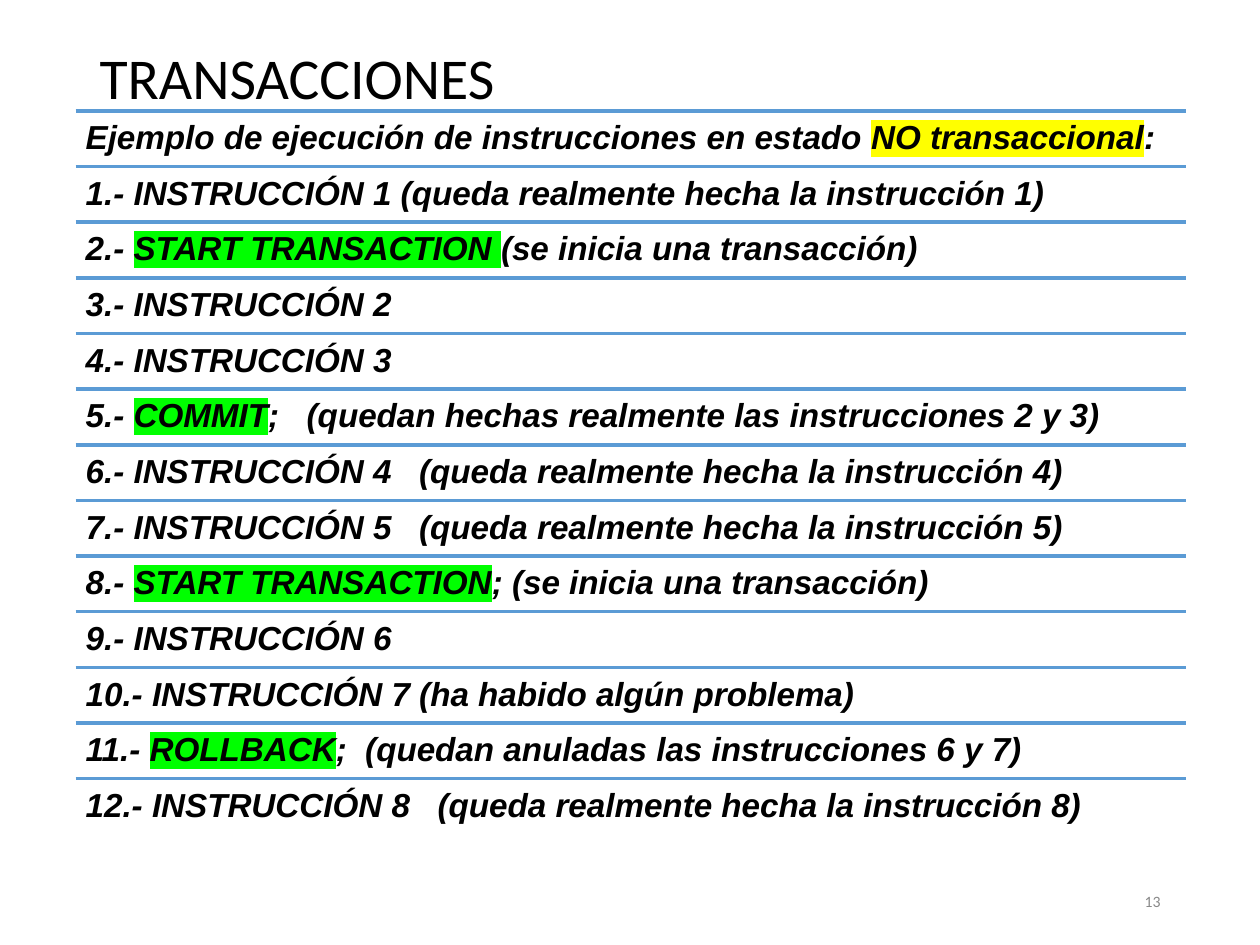
from dataclasses import dataclass

from lxml import etree
from pptx import Presentation
from pptx import util as u
from pptx.dml.color import RGBColor
from pptx.enum import shapes, text
from pptx.oxml.ns import qn


@dataclass(frozen=True)
class Theme:
    ink: str = "000000"
    muted: str = "898989"
    rule: str = "5B9BD5"
    alert: str = "FFFF00"
    command: str = "00FF00"
    heading_font: str = "Calibri"
    step_font: str = "Arial"
    title_size: float = 33
    step_size: float = 19
    number_size: float = 9
    rule_width: float = 2


THEME = Theme()
WIDTH, HEIGHT = 10, 7.5
LIST_LEFT, LIST_TOP, LIST_WIDTH = 0.6, 0.88, 8.81
ROW_HEIGHT = 5.3 / 12
STEP_INSETS = (0.08,) * 4
BOX_INSETS = (0.1, 0.05, 0.1, 0.05)

STEPS = [
    [("Ejemplo de ejecución de instrucciones en estado ", None),
     ("NO transaccional", THEME.alert), (":", None)],
    [("1.- INSTRUCCIÓN 1 (queda realmente hecha la instrucción 1)", None)],
    [("2.- ", None), ("START TRANSACTION ", THEME.command),
     ("(se inicia una transacción)", None)],
    [("3.- INSTRUCCIÓN 2", None)],
    [("4.- INSTRUCCIÓN 3", None)],
    [("5.- ", None), ("COMMIT", THEME.command),
     (";   (quedan hechas realmente las instrucciones 2 y 3)", None)],
    [("6.- INSTRUCCIÓN 4   (queda realmente hecha la instrucción 4)", None)],
    [("7.- INSTRUCCIÓN 5   (queda realmente hecha la instrucción 5)", None)],
    [("8.- ", None), ("START TRANSACTION", THEME.command),
     ("; (se inicia una transacción)", None)],
    [("9.- INSTRUCCIÓN 6", None)],
    [("10.- INSTRUCCIÓN 7 (ha habido algún problema)", None)],
    [("11.- ", None), ("ROLLBACK", THEME.command),
     (";  (quedan anuladas las instrucciones 6 y 7)", None)],
    [("12.- INSTRUCCIÓN 8   (queda realmente hecha la instrucción 8)", None)],
]


def inches(*values):
    return [u.Inches(v) for v in values]


def format_frame(tf, insets, anchor):
    tf.word_wrap = True
    tf.auto_size = text.MSO_AUTO_SIZE.NONE
    tf.vertical_anchor = anchor
    tf.margin_left, tf.margin_top, tf.margin_right, tf.margin_bottom = inches(*insets)


def add_run(p, words, font, size, color, strong=False, highlight=None):
    r = p.add_run()
    r.text = words
    r.font.name = font
    r.font.size = u.Pt(size)
    r.font.bold = r.font.italic = strong
    r.font.color.rgb = RGBColor.from_string(color)
    if highlight:
        mark = etree.Element(qn("a:highlight"))
        etree.SubElement(mark, qn("a:srgbClr"), val=highlight)
        r.font._element.find(qn("a:solidFill")).addnext(mark)


def set_title(s, words):
    sp = s.shapes.title
    sp.left, sp.top, sp.width, sp.height = inches(0.69, 0.4, 8.62, 0.48)
    format_frame(sp.text_frame, BOX_INSETS, text.MSO_ANCHOR.MIDDLE)
    p = sp.text_frame.paragraphs[0]
    p.alignment = text.PP_ALIGN.LEFT
    p.line_spacing = 0.9
    add_run(p, words, THEME.heading_font, THEME.title_size, THEME.ink)


def add_rule(group, top):
    line = group.shapes.add_connector(
        shapes.MSO_CONNECTOR.STRAIGHT,
        *inches(LIST_LEFT, top, LIST_LEFT + LIST_WIDTH, top))
    line.line.color.rgb = RGBColor.from_string(THEME.rule)
    line.line.width = u.Pt(THEME.rule_width)
    etree.SubElement(line._element.spPr, qn("a:effectLst"))


def add_step(group, row, runs):
    top = LIST_TOP + row * ROW_HEIGHT
    add_rule(group, top)
    sp = group.shapes.add_textbox(*inches(LIST_LEFT, top, LIST_WIDTH, ROW_HEIGHT))
    format_frame(sp.text_frame, STEP_INSETS, text.MSO_ANCHOR.TOP)
    p = sp.text_frame.paragraphs[0]
    p.line_spacing = 0.9
    for words, highlight in runs:
        add_run(p, words, THEME.step_font, THEME.step_size, THEME.ink, True, highlight)


def add_page_number(s, number):
    sp = s.shapes.add_textbox(*inches(7.06, 6.95, 2.25, 0.4))
    format_frame(sp.text_frame, BOX_INSETS, text.MSO_ANCHOR.MIDDLE)
    p = sp.text_frame.paragraphs[0]
    p.alignment = text.PP_ALIGN.RIGHT
    add_run(p, number, THEME.heading_font, THEME.number_size, THEME.muted)


def main():
    prs = Presentation()
    prs.slide_width, prs.slide_height = inches(WIDTH, HEIGHT)
    s = prs.slides.add_slide(prs.slide_layouts.get_by_name("Title Only"))
    set_title(s, "TRANSACCIONES")
    add_page_number(s, "13")
    group = s.shapes.add_group_shape()
    for row, runs in enumerate(STEPS):
        add_step(group, row, runs)
    prs.save("out.pptx")


if __name__ == "__main__":
    main()
